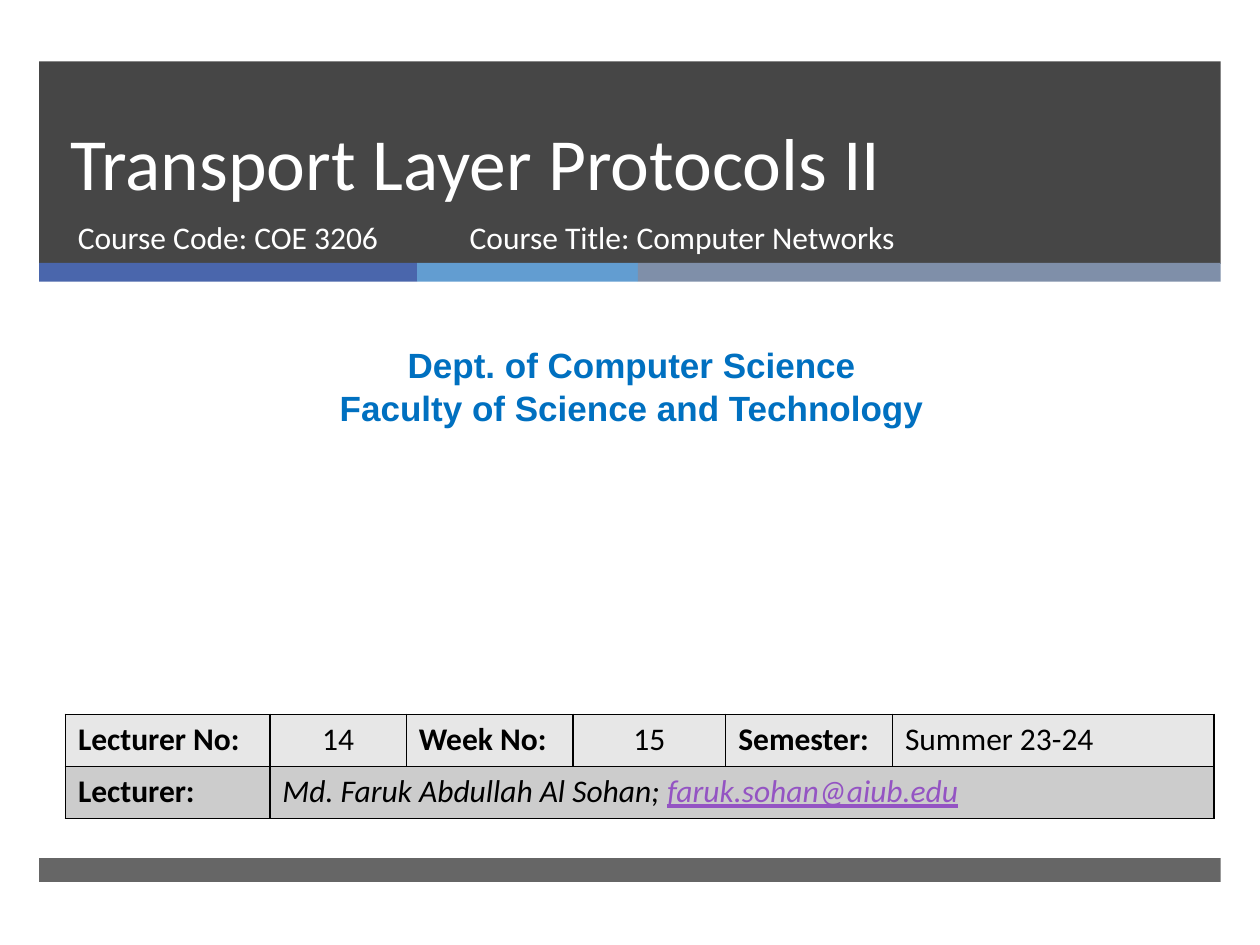
from dataclasses import dataclass

from lxml import etree
from pptx import Presentation
from pptx.dml.color import RGBColor
from pptx.enum.shapes import MSO_SHAPE
from pptx.enum.text import MSO_ANCHOR, PP_ALIGN
from pptx.oxml.ns import qn
from pptx.util import Cm, Pt

RECT = MSO_SHAPE.RECTANGLE
LEFT, MID = PP_ALIGN.LEFT, PP_ALIGN.CENTER
TOP, LOW = MSO_ANCHOR.TOP, MSO_ANCHOR.BOTTOM

HUES = {
    "dark": "262626", "navy": "4A66AC", "sky": "629DD1", "slate": "7F8FA9",
    "white": "FFFFFF", "blue": "0070C0", "black": "000000", "link": "9454C3",
    "pale": "E7E7E7", "grey": "CCCCCC",
}


@dataclass
class Bar:
    left: float
    top: float
    width: float
    height: float
    hue: str
    alpha: int = 100


@dataclass
class Label:
    left: float
    top: float
    width: float
    height: float
    lines: list[str]
    style: dict
    align: PP_ALIGN = LEFT
    anchor: MSO_ANCHOR = TOP
    pitch: float | None = None


@dataclass
class Entry:
    row: int
    col: int
    runs: list[tuple[str, dict]]
    align: PP_ALIGN = LEFT


def color(name: str) -> RGBColor:
    return RGBColor.from_string(HUES[name])


def add_run(para, text: str, style: dict) -> None:
    run = para.add_run()
    run.text = text
    for key, value in style.items():
        if key == "hue":
            run.font.color.rgb = color(value)
        else:
            setattr(run.font, key, value)


def draw_bar(slide, bar: Bar) -> None:
    box = slide.shapes.add_shape(
        RECT, Cm(bar.left), Cm(bar.top), Cm(bar.width), Cm(bar.height))
    box.shadow.inherit = False
    box.fill.solid()
    box.fill.fore_color.rgb = color(bar.hue)
    box.line.fill.background()
    if bar.alpha < 100:
        tone = box._element.spPr.find(qn("a:solidFill"))[0]
        etree.SubElement(tone, qn("a:alpha"), val=str(bar.alpha * 1000))


def draw_label(slide, label: Label) -> None:
    box = slide.shapes.add_textbox(
        Cm(label.left), Cm(label.top), Cm(label.width), Cm(label.height))
    frame = box.text_frame
    frame.word_wrap = True
    frame.vertical_anchor = label.anchor
    for i, line in enumerate(label.lines):
        para = frame.add_paragraph() if i else frame.paragraphs[0]
        para.alignment = label.align
        if label.pitch:
            para.line_spacing = Pt(label.pitch)
        add_run(para, line, label.style)


def add_edges(cell) -> None:
    props = cell._tc.get_or_add_tcPr()
    for side in ("lnL", "lnR", "lnT", "lnB"):
        edge = etree.SubElement(props, qn(f"a:{side}"), w=str(Pt(1)))
        fill = etree.SubElement(edge, qn("a:solidFill"))
        etree.SubElement(fill, qn("a:srgbClr"), val=HUES["black"])


def draw_table(slide, widths: list[float], fills: list[str],
               entries: list[Entry]) -> None:
    high = 1.05
    table = slide.shapes.add_table(
        len(fills), len(widths), Cm(1.32), Cm(14.4),
        Cm(sum(widths)), Cm(high * len(fills))).table
    table.first_row = table.horz_banding = False
    for col, width in zip(table.columns, widths):
        col.width = Cm(width)
    for r, hue in enumerate(fills):
        table.rows[r].height = Cm(high)
        for c in range(len(widths)):
            cell = table.cell(r, c)
            add_edges(cell)
            cell.fill.solid()
            cell.fill.fore_color.rgb = color(hue)
    table.cell(1, 1).merge(table.cell(1, len(widths) - 1))
    for item in entries:
        para = table.cell(item.row, item.col).text_frame.paragraphs[0]
        para.alignment = item.align
        for text, style in item.runs:
            add_run(para, text, style)


def main() -> None:
    deck = Presentation()
    deck.slide_width, deck.slide_height = Cm(25.4), Cm(19.05)
    slide = deck.slides.add_slide(deck.slide_layouts[6])

    # Header block, colour strip and footer
    edge, full = 0.79, 23.82
    draw_bar(slide, Bar(edge, 1.24, full, 4.08, "dark", 85))
    left = edge
    for width, hue in ((7.62, "navy"), (4.45, "sky"), (11.75, "slate")):
        draw_bar(slide, Bar(left, 5.3, width, 0.38, hue))
        left += width
    draw_bar(slide, Bar(edge, 17.3, full, 0.48, "dark", 70))

    # Title, course and department
    title = {"name": "Calibri", "size": Pt(42), "hue": "white"}
    course = {**title, "size": Pt(18)}
    dept = {"name": "Arial", "size": Pt(20), "bold": True, "hue": "blue"}
    labels = [
        Label(1.17, 1.24, 21.7, 3.02, ["Transport Layer Protocols II"],
              title, anchor=LOW, pitch=46),
        Label(1.32, 4.27, 7.75, 1.35, ["Course Code: COE 3206"], course),
        Label(0.2, 6.81, 25.07, 1.96,
              ["Dept. of Computer Science",
               "Faculty of Science and Technology"], dept, MID, pitch=24),
        Label(9.22, 4.27, 11.56, 1.35,
              ["Course Title: Computer Networks"], course),
    ]
    for label in labels:
        draw_label(slide, label)

    # Lecture details
    plain = {"name": "Calibri", "size": Pt(18), "hue": "black", "bold": False}
    bold = {**plain, "bold": True}
    slant = {**plain, "italic": True}
    link = {**slant, "hue": "link", "underline": True}
    entries = [
        Entry(0, 0, [("Lecturer No:", bold)]),
        Entry(0, 1, [("14", plain)], MID),
        Entry(0, 2, [("Week No:", bold)]),
        Entry(0, 3, [("15", plain)], MID),
        Entry(0, 4, [("Semester:", bold)]),
        Entry(0, 5, [("Summer 23-24", plain)]),
        Entry(1, 0, [("Lecturer:", bold)]),
        Entry(1, 1, [("Md. Faruk Abdullah Al Sohan; ", slant),
                     ("faruk.sohan@aiub.edu", link)]),
    ]
    widths = [4.12, 2.75, 3.36, 3.08, 3.36, 6.48]
    draw_table(slide, widths, ["pale", "grey"], entries)

    deck.save("out.pptx")


if __name__ == "__main__":
    main()
